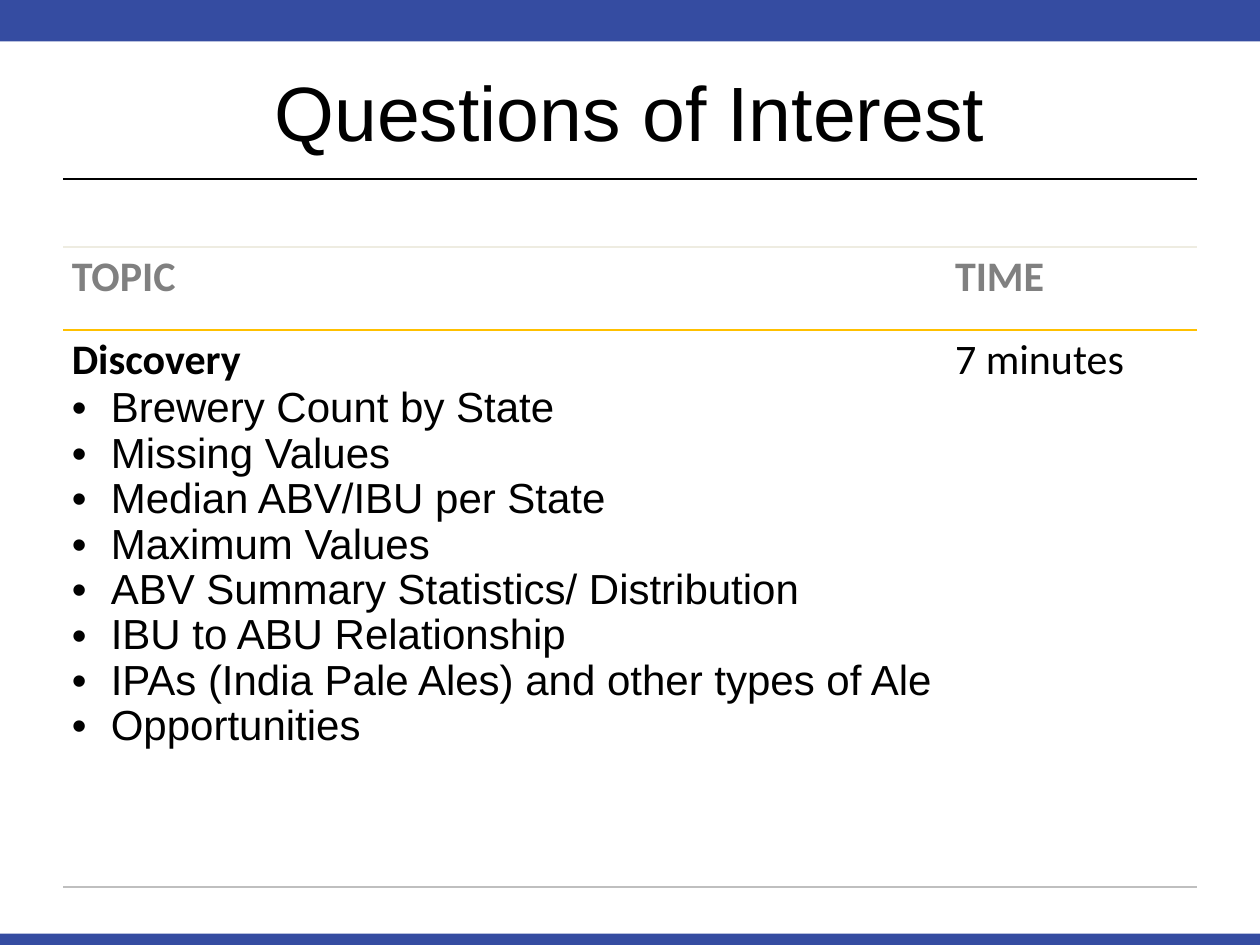
from lxml.etree import SubElement
from pptx import Presentation
from pptx.dml.color import RGBColor as RGB
from pptx.enum.shapes import MSO_CONNECTOR as CONN, MSO_SHAPE as SHAPE
from pptx.enum.text import MSO_ANCHOR as ANCHOR, PP_ALIGN as ALIGN
from pptx.oxml.ns import qn
from pptx.util import Inches, Pt

COLORS = {"band": "354CA1", "text": "000000", "head": "808080", "back": "FFFFFF",
          "top": "EEECE1", "gold": "FFC000", "base": "BFBFBF"}
HEAD = {"name": "Calibri", "size": Pt(24), "bold": True}
TIME = {"name": "Calibri", "size": Pt(24), "bold": False}
ITEM = {"name": "Arial", "size": Pt(24), "bold": False}
TITLE = {"name": "Arial", "size": Pt(44), "bold": False}


def write(p, text, fmt, color="text"):
    r = p.add_run()
    r.text = text
    for key, value in fmt.items():
        setattr(r.font, key, value)
    r.font.color.rgb = RGB.from_string(COLORS[color])


def border(cell, side, color):
    ln = SubElement(cell._tc.get_or_add_tcPr(), qn(f"a:{side}"), w="12700")
    if color:
        fill = SubElement(ln, qn("a:solidFill"))
        SubElement(fill, qn("a:srgbClr"), val=COLORS[color])
    else:
        SubElement(ln, qn("a:noFill"))


prs = Presentation()
prs.slide_width, prs.slide_height = Inches(10), Inches(7.5)
W = prs.slide_width
margin = int(W * 0.05)
inner = W - 2 * margin
s = prs.slides.add_slide(prs.slide_layouts[6])

for top, height in ((Inches(7.41), Inches(0.09)), (0, Inches(0.33))):
    sp = s.shapes.add_shape(SHAPE.RECTANGLE, 0, top, W, height)
    sp.shadow.inherit = False
    sp.fill.solid()
    sp.fill.fore_color.rgb = RGB.from_string(COLORS["band"])
    sp.line.fill.background()

rule_y = Inches(1.42)
rule = s.shapes.add_connector(CONN.STRAIGHT, margin, rule_y, W - margin, rule_y)
rule.line.color.rgb = RGB.from_string(COLORS["text"])
rule.line.width = Pt(1.25)
SubElement(rule._element.spPr, qn("a:effectLst"))

tf = s.shapes.add_textbox(margin, Inches(0.25), inner, Inches(1.25)).text_frame
tf.word_wrap = True
tf.vertical_anchor = ANCHOR.MIDDLE
tf.paragraphs[0].alignment = ALIGN.CENTER
write(tf.paragraphs[0], "Questions of Interest", TITLE)

tbl = s.shapes.add_table(2, 2, margin, Inches(1.96), inner, Inches(5.08)).table
tbl.first_row = tbl.horz_banding = False
for col, width in zip(tbl.columns, (7.01, 1.99)):
    col.width = Inches(width)
for row, height in zip(tbl.rows, (0.66, 4.42)):
    row.height = Inches(height)

edges = (("top", "gold"), ("gold", "base"))
for row, (upper, lower) in zip(tbl.rows, edges):
    for cell in row.cells:
        cell.margin_left = cell.margin_right = Inches(0.07)
        cell.margin_top = cell.margin_bottom = Inches(0.04)
        for side, color in (("lnL", None), ("lnR", None), ("lnT", upper), ("lnB", lower)):
            border(cell, side, color)
        cell.fill.solid()
        cell.fill.fore_color.rgb = RGB.from_string(COLORS["back"])

for row, col, text, fmt, color in (
        (0, 0, "TOPIC", HEAD, "head"), (0, 1, "TIME", HEAD, "head"),
        (1, 0, "Discovery", HEAD, "text"), (1, 1, "7 minutes", TIME, "text")):
    write(tbl.cell(row, col).text_frame.paragraphs[0], text, fmt, color)

topics = ("Brewery Count by State", "Missing Values", "Median ABV/IBU per State",
          "Maximum Values", "ABV Summary Statistics/ Distribution",
          "IBU to ABU Relationship",
          "IPAs (India Pale Ales) and other types of Ale", "Opportunities")
for topic in topics:
    p = tbl.cell(1, 0).text_frame.add_paragraph()
    p.line_spacing = 0.97
    pPr = p._p.get_or_add_pPr()
    pPr.set("marL", str(int(Inches(0.31))))
    pPr.set("indent", str(-int(Inches(0.31))))
    SubElement(pPr, qn("a:buFont"), typeface="Arial")
    SubElement(pPr, qn("a:buChar"), char="•")
    write(p, topic, ITEM)

prs.save("out.pptx")
